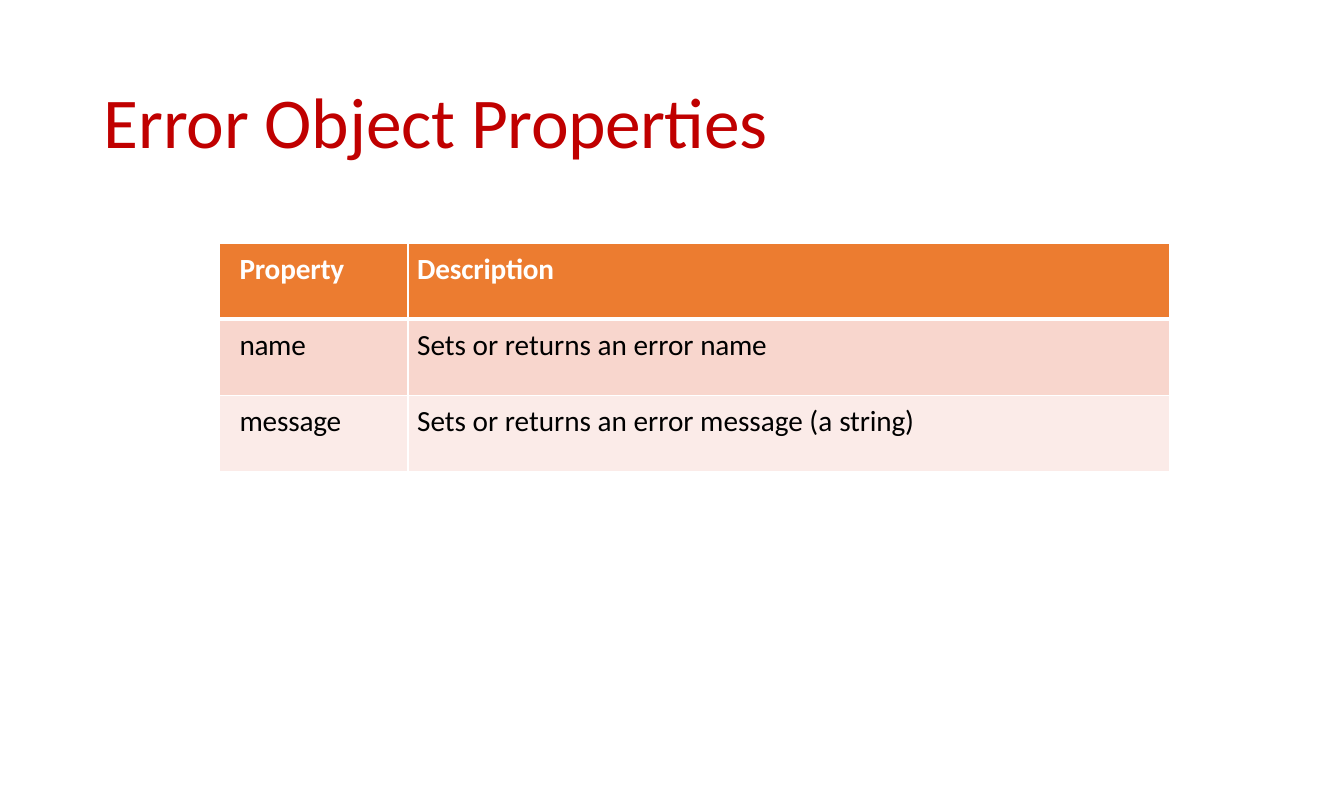
from lxml import etree
from pptx import Presentation
from pptx import util as u
from pptx.dml.color import RGBColor
from pptx.enum import text
from pptx.oxml.ns import qn

TITLE = [("Error ", -20), ("Object ", -10), ("Properties", -30)]
ROWS = [
    ([("Property", -10)], [("Description", -10)]),
    ([("name", -20)], [("Sets or returns an error ", 0), ("name", -20)]),
    ([("message", -10)], [("Sets or returns an error message (a ", 0), ("string)", -10)]),
]
WIDTHS = [1.61, 6.52]
INDENTS = [0.17, 0.08]
HEIGHT = 0.65
HEX = {"title": "C00000", "head": "EC7C30", "odd": "F8D6CD", "even": "FBEBE8",
       "white": "FFFFFF", "black": "000000"}
FILLS = ["head", "odd", "even"]


def write(frame, parts, size, color, indent, before, bold=False):
    para = frame.paragraphs[0]
    para.alignment = text.PP_ALIGN.LEFT
    para.space_before = u.Pt(before)
    props = para._p.get_or_add_pPr()
    props.set("marL", str(u.Inches(indent)))
    props.set("indent", "0")
    for words, gap in parts:
        run = para.add_run()
        run.text = words
        font = run.font
        font.name, font.size, font.bold = "Calibri", u.Pt(size), bold
        font.color.rgb = RGBColor.from_string(HEX[color])
        run._r.get_or_add_rPr().set("spc", str(gap))


def edge(cell, side, width):
    line = etree.Element(qn("a:ln" + side), w=str(u.Pt(width)))
    fill = etree.SubElement(line, qn("a:solidFill"))
    etree.SubElement(fill, qn("a:srgbClr"), val=HEX["white"])
    cell._tc.get_or_add_tcPr().append(line)


def main():
    deck = Presentation()
    deck.slide_width = u.Inches(11.5)
    deck.slide_height = u.Inches(41 / 6)
    slide = deck.slides.add_slide(deck.slide_layouts[6])

    box = slide.shapes.add_textbox(u.Inches(0.88), u.Inches(0.46), u.Inches(9.61), u.Inches(1.11))
    frame = box.text_frame
    frame.word_wrap = True
    frame.margin_left = frame.margin_right = frame.margin_bottom = 0
    frame.margin_top = u.Inches(0.2)
    write(frame, TITLE, 44, "title", 0.01, 1.1)

    table = slide.shapes.add_table(
        len(ROWS), len(WIDTHS), u.Inches(1.88), u.Inches(2.08),
        u.Inches(sum(WIDTHS)), u.Inches(HEIGHT * len(ROWS))).table
    for col, width in zip(table.columns, WIDTHS):
        col.width = u.Inches(width)
    for i, row in enumerate(ROWS):
        table.rows[i].height = u.Inches(HEIGHT)
        for j, parts in enumerate(row):
            cell = table.cell(i, j)
            cell.margin_left = cell.margin_right = cell.margin_bottom = 0
            cell.margin_top = u.Inches(0.07)
            write(cell.text_frame, parts, 18, "black" if i else "white", INDENTS[j], 5.2, not i)
            for side in "LRTB":
                thick = (i, side) in [(0, "B"), (1, "T")]
                edge(cell, side, 3 if thick else 1)
            cell.fill.solid()
            cell.fill.fore_color.rgb = RGBColor.from_string(HEX[FILLS[i]])

    deck.save("out.pptx")


if __name__ == "__main__":
    main()
